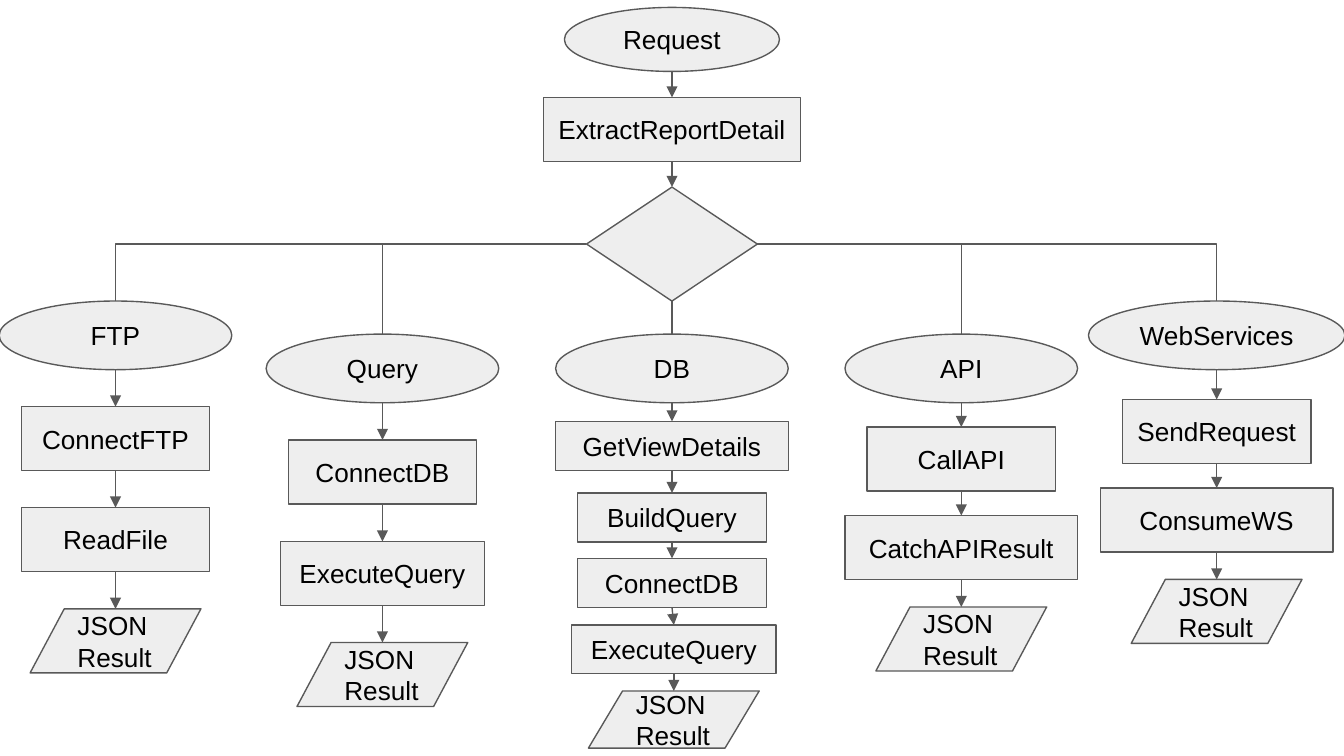
from itertools import pairwise

from lxml.etree import SubElement
from pptx import Presentation
from pptx.dml.color import RGBColor
from pptx.enum.shapes import MSO_CONNECTOR, MSO_SHAPE
from pptx.enum.text import MSO_ANCHOR, PP_ALIGN
from pptx.oxml.ns import qn
from pptx.util import Pt

THEME = {
    "fill": RGBColor(0xEE, 0xEE, 0xEE),
    "line": RGBColor(0x59, 0x59, 0x59),
    "text": RGBColor(0, 0, 0),
    "font": "Arial",
    "size": Pt(14),
    "stroke": Pt(0.75),
}
FRAME = {
    "word_wrap": True,
    "vertical_anchor": MSO_ANCHOR.MIDDLE,
    "margin_left": Pt(7.2),
    "margin_right": Pt(7.2),
    "margin_top": Pt(7.2),
    "margin_bottom": Pt(7.2),
}
FONT = {"name": THEME["font"], "size": THEME["size"]}

KINDS = {
    "start": MSO_SHAPE.OVAL,
    "branch": MSO_SHAPE.FLOWCHART_CONNECTOR,
    "step": MSO_SHAPE.FLOWCHART_PROCESS,
    "choice": MSO_SHAPE.FLOWCHART_DECISION,
    "result": MSO_SHAPE.FLOWCHART_DATA,
}
STEP, QUERY, WIDE, WIDEST = 101, 109.4, 124.6, 137.4
RESULT, TALL, SHORT, OVAL = 91.5, 34.3, 26.2, 36.8

ROOT = [
    ("start", "Request", 360, 4, 115.2, TALL),
    ("step", "ExtractReportDetail", 360, 52.2, WIDEST, TALL),
    ("choice", "", 360, 100.2, RESULT, 61.1),
]
BRANCHES = [
    [
        ("branch", "FTP", 61.9, 161.3, WIDE, OVAL),
        ("step", "ConnectFTP", 61.9, 217.8, STEP, TALL),
        ("step", "ReadFile", 61.9, 271.9, STEP, TALL),
        ("result", "JSON Result", 61.9, 326.2, RESULT, TALL),
    ],
    [
        ("branch", "Query", 204.9, 179, WIDE, OVAL),
        ("step", "ConnectDB", 204.9, 235.7, STEP, TALL),
        ("step", "ExecuteQuery", 204.9, 290.1, QUERY, TALL),
        ("result", "JSON Result", 204.9, 344.2, RESULT, TALL),
    ],
    [
        ("branch", "DB", 360, 179, WIDE, OVAL),
        ("step", "GetViewDetails", 360, 225.8, WIDE, SHORT),
        ("step", "BuildQuery", 360, 264.1, STEP, SHORT),
        ("step", "ConnectDB", 360, 299.2, STEP, SHORT),
        ("step", "ExecuteQuery", 361, 334.8, QUERY, SHORT),
        ("result", "JSON Result", 361, 370.2, RESULT, 30.6),
    ],
    [
        ("branch", "API", 515, 179, WIDE, OVAL),
        ("step", "CallAPI", 515, 228.8, STEP, TALL),
        ("step", "CatchAPIResult", 515, 276.2, WIDE, TALL),
        ("result", "JSON Result", 515, 325.2, RESULT, TALL),
    ],
    [
        ("branch", "WebServices", 651.8, 161.3, WIDEST, OVAL),
        ("step", "SendRequest", 651.8, 214, STEP, TALL),
        ("step", "ConsumeWS", 651.8, 261.4, WIDE, TALL),
        ("result", "JSON Result", 651.8, 310.4, RESULT, TALL),
    ],
]


def apply_format(target, values):
    for name, value in values.items():
        setattr(target, name, value)


def draw_line(line):
    line.color.rgb = THEME["line"]
    line.width = THEME["stroke"]


def add_node(page, kind, text, center, top, width, height):
    box = page.shapes.add_shape(
        KINDS[kind], Pt(center - width / 2), Pt(top), Pt(width), Pt(height)
    )
    box.shadow.inherit = False
    box.fill.solid()
    box.fill.fore_color.rgb = THEME["fill"]
    draw_line(box.line)
    if text:
        apply_format(box.text_frame, FRAME)
        para = box.text_frame.paragraphs[0]
        para.alignment = PP_ALIGN.LEFT if kind == "result" else PP_ALIGN.CENTER
        span = para.add_run()
        span.text = text
        apply_format(span.font, FONT)
        span.font.color.rgb = THEME["text"]


def add_link(page, start, end, arrow=False, corner=False):
    route = MSO_CONNECTOR.ELBOW if corner else MSO_CONNECTOR.STRAIGHT
    link = page.shapes.add_connector(route, *map(Pt, start + end))
    draw_line(link.line)
    properties = link._element.spPr
    if corner:
        properties.find(qn("a:prstGeom")).set("prst", "bentConnector2")
    if arrow:
        SubElement(properties.find(qn("a:ln")), qn("a:tailEnd"), type="triangle")
    SubElement(properties, qn("a:effectLst"))


def add_chain(page, nodes):
    for node in nodes:
        add_node(page, *node)
    for upper, lower in pairwise(nodes):
        start = (upper[2], upper[3] + upper[5])
        add_link(page, start, (lower[2], lower[3]), arrow=True)


def add_branch_links(page):
    _, _, center, top, width, height = ROOT[-1]
    for _, _, target, target_top, *_ in (branch[0] for branch in BRANCHES):
        if target == center:
            add_link(page, (center, top + height), (target, target_top))
        else:
            side = width / 2 if target > center else -width / 2
            start = (center + side, top + height / 2)
            add_link(page, start, (target, target_top), corner=True)


def main():
    deck = Presentation()
    apply_format(deck, {"slide_width": Pt(720), "slide_height": Pt(405)})
    page = deck.slides.add_slide(deck.slide_layouts[6])
    for nodes in [ROOT, *BRANCHES]:
        add_chain(page, nodes)
    add_branch_links(page)
    deck.save("out.pptx")


if __name__ == "__main__":
    main()
